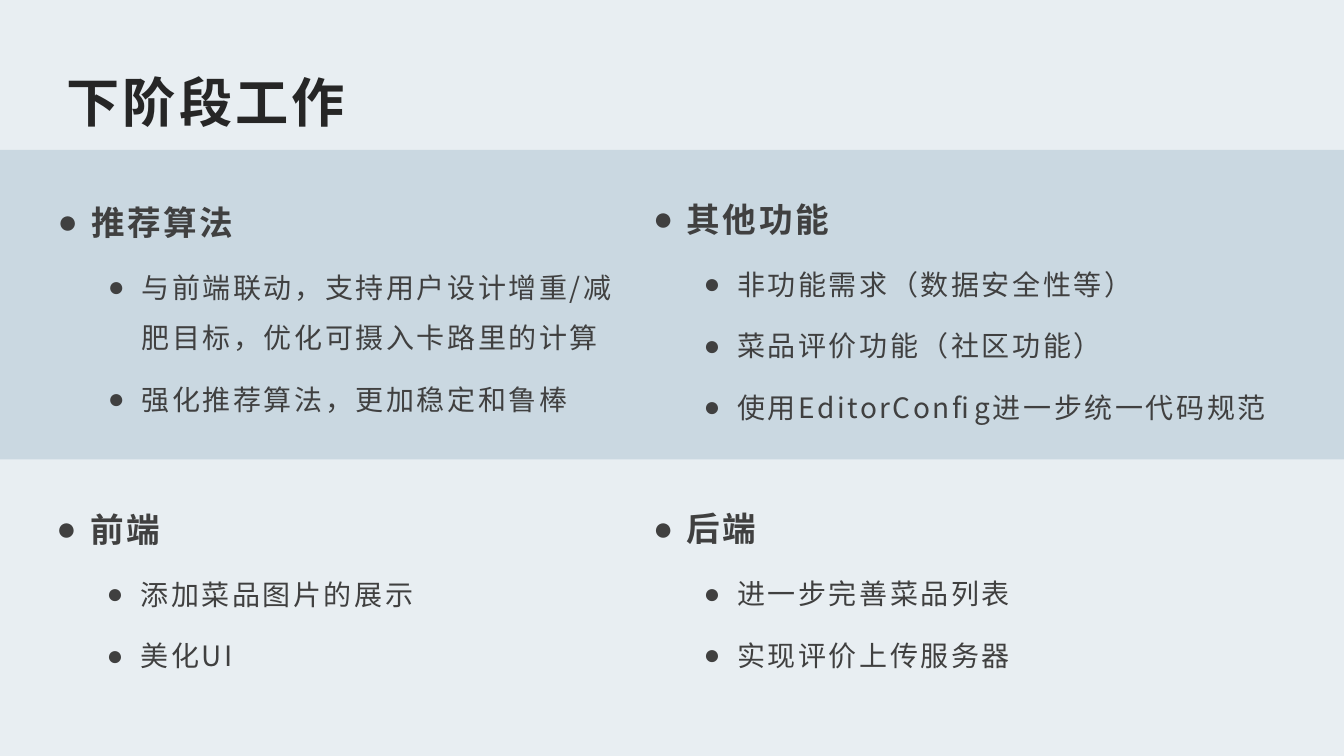
import pptx
import pptx.dml.color
import pptx.enum.shapes
import pptx.enum.text
import pptx.oxml.ns
import pptx.util
from lxml import etree

Cm = pptx.util.Cm
Pt = pptx.util.Pt
ANCHOR = pptx.enum.text.MSO_ANCHOR
FIT = pptx.enum.text.MSO_AUTO_SIZE
ALIGN = pptx.enum.text.PP_ALIGN

TYPEFACE = "Noto Sans CJK SC"
TITLE_FONT = {"size": Pt(38), "bold": True, "name": TYPEFACE}
HEADING_FONT = {"size": Pt(24), "bold": True, "name": TYPEFACE}
TASK_FONT = {"size": Pt(20), "bold": False, "name": TYPEFACE}
LIST_SPACING = {"line_spacing": 1.5, "space_before": Pt(0), "space_after": Pt(8),
                "alignment": ALIGN.LEFT}
TIGHT_FRAME = {"vertical_anchor": ANCHOR.MIDDLE, "auto_size": FIT.NONE, "word_wrap": True,
               "margin_left": Cm(0.18), "margin_right": Cm(0.18),
               "margin_top": Cm(0.09), "margin_bottom": Cm(0.09)}
GROWING_FRAME = {"vertical_anchor": ANCHOR.TOP, "auto_size": FIT.SHAPE_TO_FIT_TEXT,
                 "word_wrap": True, "margin_left": Cm(0.25), "margin_right": Cm(0.25),
                 "margin_top": Cm(0.13), "margin_bottom": Cm(0.13)}

BANDS = [((0, 0, 33.87, 19.05), "E8EEF2"), ((0, 3.78, 33.87, 7.8), "CAD8E1")]
WORK_AREAS = [
    ((1.27, 2.95, 14.94, 9.17), TIGHT_FRAME, "推荐算法",
     ["与前端联动，支持用户设计增重/减肥目标，优化可摄入卡路里的计算",
      "强化推荐算法，更加稳定和鲁棒"]),
    ((16.21, 4.37, 16.94, 6.5), GROWING_FRAME, "其他功能",
     ["非功能需求（数据安全性等）", "菜品评价功能（社区功能）",
      "使用EditorConfig进一步统一代码规范"]),
    ((1.17, 12.19, 12.9, 5.99), GROWING_FRAME, "前端",
     ["添加菜品图片的展示", "美化UI"]),
    ((16.21, 12.17, 11.89, 5.99), GROWING_FRAME, "后端",
     ["进一步完善菜品列表", "实现评价上传服务器"]),
]


def color(hex_value):
    """Turn a hex string into a colour."""
    return pptx.dml.color.RGBColor.from_string(hex_value)


def apply(target, values):
    """Set each named attribute on the target."""
    for name, value in values.items():
        setattr(target, name, value)


def place(shape, box):
    """Move and size a shape to a box given in centimetres."""
    apply(shape, dict(zip(("left", "top", "width", "height"), map(Cm, box))))


def add_band(slide, depth, box, fill):
    """Add a plain colour band behind the text."""
    band = slide.shapes.add_shape(pptx.enum.shapes.MSO_SHAPE.RECTANGLE, *map(Cm, box))
    band.shadow.inherit = False
    band.fill.solid()
    band.fill.fore_color.rgb = color(fill)
    band.line.fill.background()
    slide.shapes.element.insert(2 + depth, band.element)


def write(paragraph, text, font, hex_value, tracking):
    """Write one run with its font, colour and letter spacing in points."""
    run = paragraph.add_run()
    run.text = text
    apply(run.font, font)
    run.font.color.rgb = color(hex_value)
    properties = run._r.get_or_add_rPr()
    properties.set("spc", str(round(tracking * 100)))
    etree.SubElement(properties, pptx.oxml.ns.qn("a:ea"), typeface=TYPEFACE)


def add_bullet(paragraph, level):
    """Give a paragraph a round bullet and the indent of its level."""
    properties = paragraph._p.get_or_add_pPr()
    properties.set("marL", str(Cm((0.85, 2.12)[level])))
    properties.set("indent", str(-Cm(0.85)))
    etree.SubElement(properties, pptx.oxml.ns.qn("a:buFont"), typeface="Arial")
    etree.SubElement(properties, pptx.oxml.ns.qn("a:buChar"), char="●")


def fill_title(title, text):
    """Place and write the slide title."""
    place(title, (0.74, -0.2, 8.89, 5.51))
    apply(title.text_frame, TIGHT_FRAME)
    heading = title.text_frame.paragraphs[0]
    heading.alignment = ALIGN.CENTER
    write(heading, text, TITLE_FONT, "262626", 2.2)


def fill_work_area(body, box, frame_format, heading, tasks):
    """Place a list and write its heading and tasks."""
    place(body, box)
    frame = body.text_frame
    apply(frame, frame_format)
    for index, text in enumerate([heading, *tasks]):
        level = min(index, 1)
        paragraph = frame.add_paragraph() if index else frame.paragraphs[0]
        add_bullet(paragraph, level)
        apply(paragraph, {**LIST_SPACING, "level": level})
        write(paragraph, text, TASK_FONT if level else HEADING_FONT, "404040", 1.8)


def main():
    """Build the slide on the next stage of work."""
    deck = pptx.Presentation()
    apply(deck, {"slide_width": Cm(33.87), "slide_height": Cm(19.05)})
    slide = deck.slides.add_slide(deck.slide_layouts.get_by_name("Comparison"))
    slide.background.fill.solid()
    slide.background.fill.fore_color.rgb = color("F9FAFB")
    for depth, (box, fill) in enumerate(BANDS):
        add_band(slide, depth, box, fill)
    title, *bodies = slide.placeholders
    fill_title(title, "下阶段工作")
    for body, area in zip(bodies, WORK_AREAS):
        fill_work_area(body, *area)
    deck.save("out.pptx")


if __name__ == "__main__":
    main()
